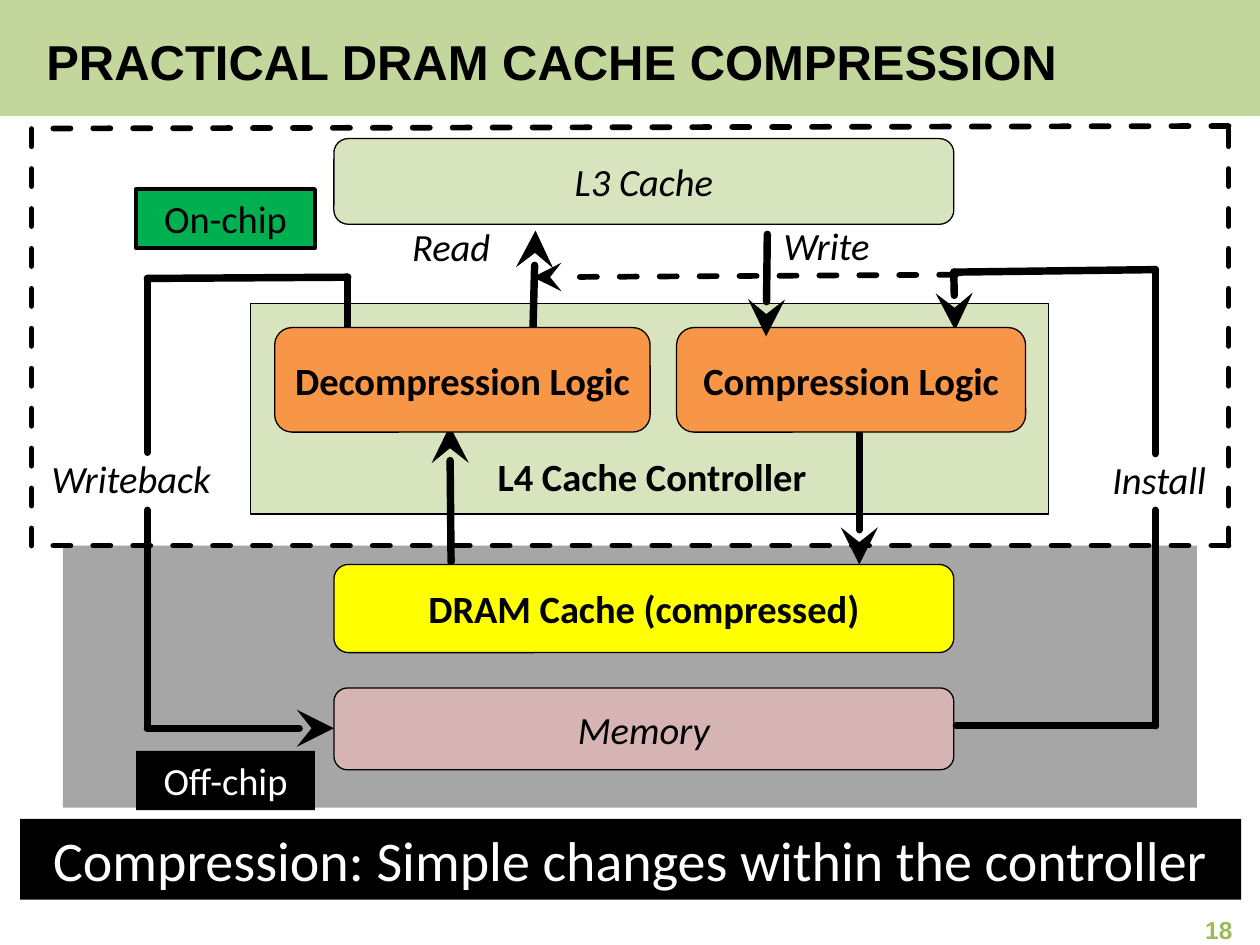
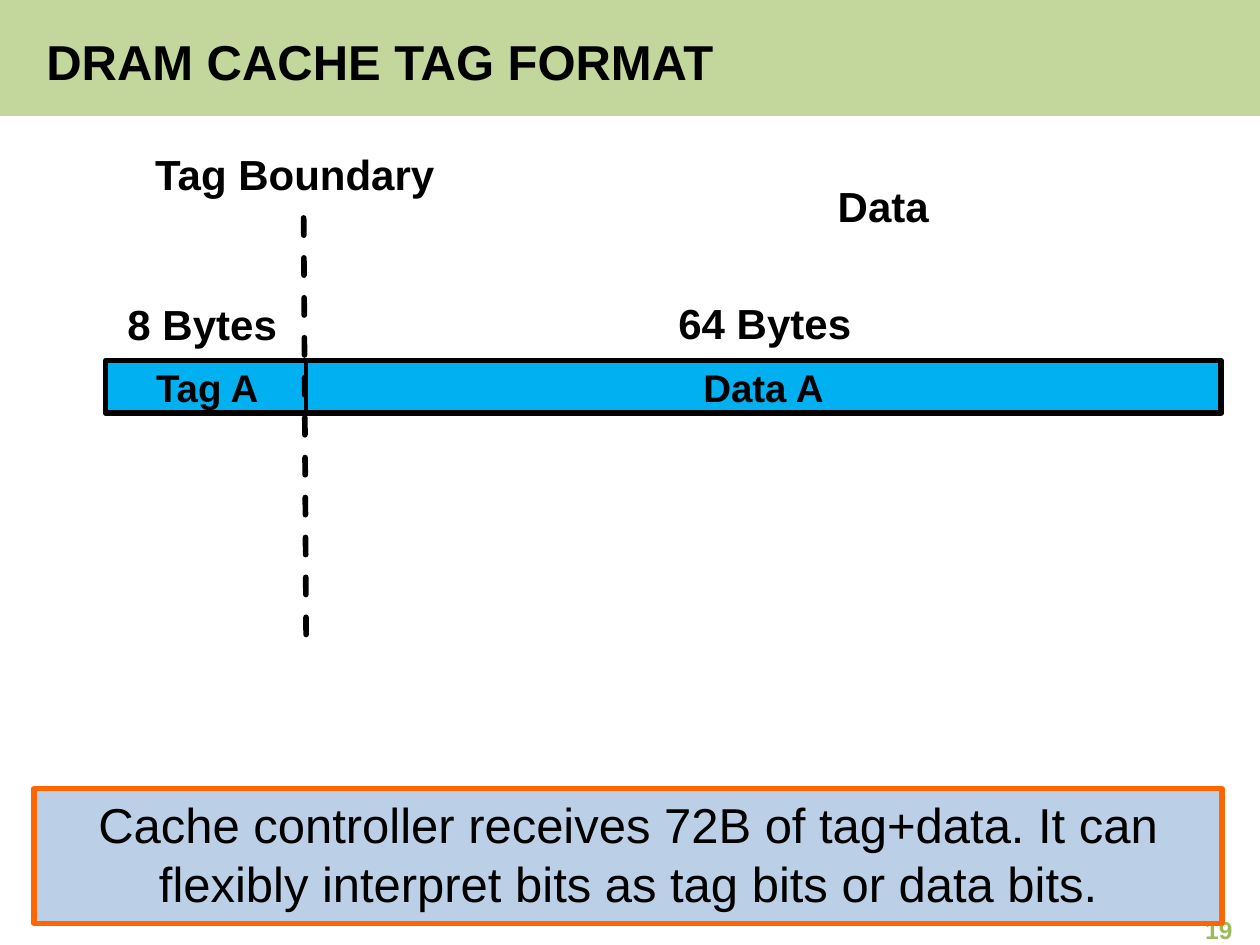
from dataclasses import dataclass
from itertools import pairwise

from lxml.etree import SubElement
from pptx import Presentation
from pptx.dml.color import RGBColor
from pptx.enum.dml import MSO_LINE
from pptx.enum.shapes import MSO_CONNECTOR, MSO_SHAPE
from pptx.enum.text import MSO_ANCHOR, PP_ALIGN
from pptx.oxml.ns import qn
from pptx.slide import Slide
from pptx.util import Inches, Pt

COLUMNS, ROWS = 100, 75
BLACK, WHITE = "000000", "FFFFFF"
BAND_GREEN, NUMBER_GREEN, PALE_GREEN = "C3D69B", "9BBB59", "D7E4BD"
GREEN, GREY, ORANGE, YELLOW, PINK = "00B050", "A6A6A6", "F79646", "FFFF00", "E6B9B8"
SKY, PALE_BLUE, BRIGHT_ORANGE = "00B0F0", "BBCFE6", "FF6600"

presentation = Presentation()
presentation.slide_width = Inches(10)
presentation.slide_height = Inches(7.5)
COLUMN = presentation.slide_width / COLUMNS
ROW = presentation.slide_height / ROWS


@dataclass(frozen=True)
class TextStyle:
    size: float
    font: str
    color: str = BLACK
    bold: bool = False
    italic: bool = False
    align: PP_ALIGN = PP_ALIGN.CENTER


@dataclass(frozen=True)
class Box:
    left: float
    top: float
    width: float
    height: float
    text: str = ""
    style: TextStyle | None = None
    fill: str | None = None
    line: str | None = None
    weight: float = 0.75
    rounded: bool = False
    middle: bool = False
    opacity: int = 100


@dataclass(frozen=True)
class Route:
    points: tuple[tuple[float, float], ...]
    arrow: bool = False
    dashed: bool = False


TITLE = TextStyle(28, "Arial", bold=True, align=PP_ALIGN.LEFT)
NUMBER = TextStyle(14, "Arial", NUMBER_GREEN, bold=True, align=PP_ALIGN.RIGHT)
PLAIN = TextStyle(22, "Calibri")
PLAIN_WHITE = TextStyle(22, "Calibri", WHITE)
STRONG = TextStyle(22, "Calibri", bold=True)
FLOW = TextStyle(22, "Calibri", italic=True)
BANNER = TextStyle(32, "Calibri", WHITE)
FIELD = TextStyle(22, "Arial", bold=True)
HEADING = TextStyle(24, "Arial", bold=True)
MESSAGE = TextStyle(28, "Arial")


def color_of(code: str) -> RGBColor:
    return RGBColor.from_string(code)


def draw_box(slide: Slide, box: Box) -> None:
    place = (round(box.left * COLUMN), round(box.top * ROW),
             round(box.width * COLUMN), round(box.height * ROW))
    if box.fill or box.line:
        preset = MSO_SHAPE.ROUNDED_RECTANGLE if box.rounded else MSO_SHAPE.RECTANGLE
        shape = slide.shapes.add_shape(preset, *place)
        shape.shadow.inherit = False
        if box.fill:
            shape.fill.solid()
            shape.fill.fore_color.rgb = color_of(box.fill)
        else:
            shape.fill.background()
        if box.opacity < 100:
            color = shape.fill._xPr.find(qn("a:solidFill"))[0]
            SubElement(color, qn("a:alpha"), val=str(box.opacity * 1000))
        if box.line:
            shape.line.color.rgb = color_of(box.line)
            shape.line.width = Pt(box.weight)
        else:
            shape.line.fill.background()
    else:
        shape = slide.shapes.add_textbox(*place)
    if box.style:
        write_text(shape.text_frame, box.text, box.style, box.middle)


def write_text(text_frame, text: str, style: TextStyle, middle: bool) -> None:
    text_frame.text = text
    text_frame.word_wrap = True
    text_frame.vertical_anchor = MSO_ANCHOR.MIDDLE if middle else MSO_ANCHOR.TOP
    paragraph = text_frame.paragraphs[0]
    paragraph.alignment = style.align
    font = paragraph.runs[0].font
    font.size = Pt(style.size)
    font.name = style.font
    font.bold = style.bold
    font.italic = style.italic
    font.color.rgb = color_of(style.color)


def draw_route(slide: Slide, route: Route) -> None:
    segments = list(pairwise(route.points))
    for index, (start, end) in enumerate(segments):
        connector = slide.shapes.add_connector(
            MSO_CONNECTOR.STRAIGHT,
            round(start[0] * COLUMN), round(start[1] * ROW),
            round(end[0] * COLUMN), round(end[1] * ROW))
        line = connector.line
        line.color.rgb = color_of(BLACK)
        line.width = Pt(3.25 if route.dashed else 4.25)
        if route.dashed:
            line.dash_style = MSO_LINE.DASH
        outline = line._get_or_add_ln()
        outline.set("cap", "rnd")
        SubElement(outline, qn("a:round"))
        if route.arrow and index == len(segments) - 1:
            SubElement(outline, qn("a:tailEnd"), type="stealth", w="lg", len="lg")
        SubElement(connector._element.spPr, qn("a:effectLst"))


def draw_slide(title: str, number: int, items: list[Box | Route]) -> None:
    slide = presentation.slides.add_slide(presentation.slide_layouts[6])
    frame = [
        Box(0, 0, COLUMNS, 9.2, fill=BAND_GREEN),
        Box(2.7, 2.2, 91.7, 5.3, title, TITLE, middle=True),
        Box(75.5, 72.5, 23.3, 2.6, str(number), NUMBER, middle=True),
    ]
    for item in frame + items:
        if isinstance(item, Box):
            draw_box(slide, item)
        else:
            draw_route(slide, item)


def block(text: str, top: float, height: float, fill: str, style: TextStyle,
          left: float = 26.5, width: float = 49.2, opacity: int = 100) -> Box:
    return Box(left, top, width, height, text, style, fill, BLACK,
               rounded=True, middle=True, opacity=opacity)


def label(text: str, left: float, top: float, width: float, style: TextStyle = FLOW,
          height: float = 4.7) -> Box:
    return Box(left, top, width, height, text, style)


def arrow(*points: tuple[float, float], dashed: bool = False) -> Route:
    return Route(points, True, dashed)


LEFT_EDGE, RIGHT_EDGE, CHIP_TOP, CHIP_BOTTOM = 2.5, 97.5, 10, 43.3
WRITEBACK, INSTALL = 11.7, 91.7

draw_slide("PRACTICAL DRAM CACHE COMPRESSION", 18, [
    Box(5, CHIP_BOTTOM, 90, 20.8, fill=GREY),
    Box(19.9, 24.1, 63.3, 16.7, fill=PALE_GREEN, line=BLACK),
    block("L3 Cache", 11, 6.8, PALE_GREEN, FLOW),
    label("L4 Cache Controller", 35.3, 35.5, 32.9, STRONG),
    block("Memory", 54.6, 6.5, PINK, FLOW, opacity=75),
    arrow((35.8, 44.6), (35.7, 33.8)),
    arrow((68.2, 34), (68.2, 44.8)),
    arrow((42.3, 26.2), (42.5, 18.3)),
    Route(((27.6, 26.2), (27.6, 22), (WRITEBACK, 22.1), (WRITEBACK, 35.9))),
    arrow((WRITEBACK, 40.5), (WRITEBACK, 57.8), (26.5, 57.8)),
    label("Writeback", 2, 35.6, 16.8),
    Route(((75.9, 57.6), (INSTALL, 57.6), (INSTALL, 40.5))),
    arrow((INSTALL, 36), (INSTALL, 21.4), (75.7, 21.6), (75.8, 26.2)),
    label("Install", 86.3, 35.7, 11.4),
    arrow((75.9, 21.8), (42.3, 22), dashed=True),
    label("Read", 26.9, 17.2, 17.8),
    label("Write", 58.4, 17.1, 14.4),
    block("Compression Logic", 26, 8.3, ORANGE, STRONG, 53.7, 27.7),
    block("Decompression Logic", 26, 8.3, ORANGE, STRONG, 21.8, 29.8),
    arrow((60.9, 18.6), (60.8, 26.7)),
    block("DRAM Cache (compressed)", 44.8, 7, YELLOW, STRONG),
    Route(((RIGHT_EDGE, CHIP_BOTTOM), (LEFT_EDGE, CHIP_BOTTOM), (LEFT_EDGE, CHIP_TOP)),
          dashed=True),
    Route(((RIGHT_EDGE, CHIP_BOTTOM), (RIGHT_EDGE, CHIP_TOP), (3.7, 10.2)), dashed=True),
    Box(10.8, 15, 14.2, 4.7, "On-chip", PLAIN, GREEN, BLACK, 2),
    Box(10.8, 59.6, 14.2, 4.7, "Off-chip", PLAIN_WHITE, BLACK),
    Box(1.6, 65, 96.9, 6.4, "Compression: Simple changes within the controller", BANNER, BLACK),
])

TAG_LEFT, TAG_BOUNDARY, DATA_RIGHT = 8.4, 24.3, 96.9

draw_slide("DRAM CACHE TAG FORMAT", 19, [
    Box(TAG_LEFT, 28.7, 16.1, 4, "Tag A", FIELD, SKY, BLACK, 2, middle=True),
    Box(TAG_BOUNDARY, 28.7, DATA_RIGHT - TAG_BOUNDARY, 4, "Data A", FIELD, SKY, BLACK, 2,
        middle=True),
    Route(((24.1, 17.3), (TAG_BOUNDARY, 50.9)), dashed=True),
    label("Tag Boundary", 8.6, 11.3, 29.6, HEADING, 5),
    label("Data", 55.3, 13.8, 29.6, HEADING, 5),
    Box(2.7, 62.6, 94.3, 10.7,
        "Cache controller receives 72B of tag+data. It can flexibly interpret bits "
        "as tag bits or data bits.", MESSAGE, PALE_BLUE, BRIGHT_ORANGE, 3),
    Box(TAG_LEFT, 28.6, DATA_RIGHT - TAG_LEFT, 4.2, line=BLACK, weight=3),
    label("8 Bytes", 8.2, 23.2, 15.7, HEADING, 5),
    label("64 Bytes", 45.9, 23.1, 29.6, HEADING, 5),
])

presentation.save("out.pptx")
